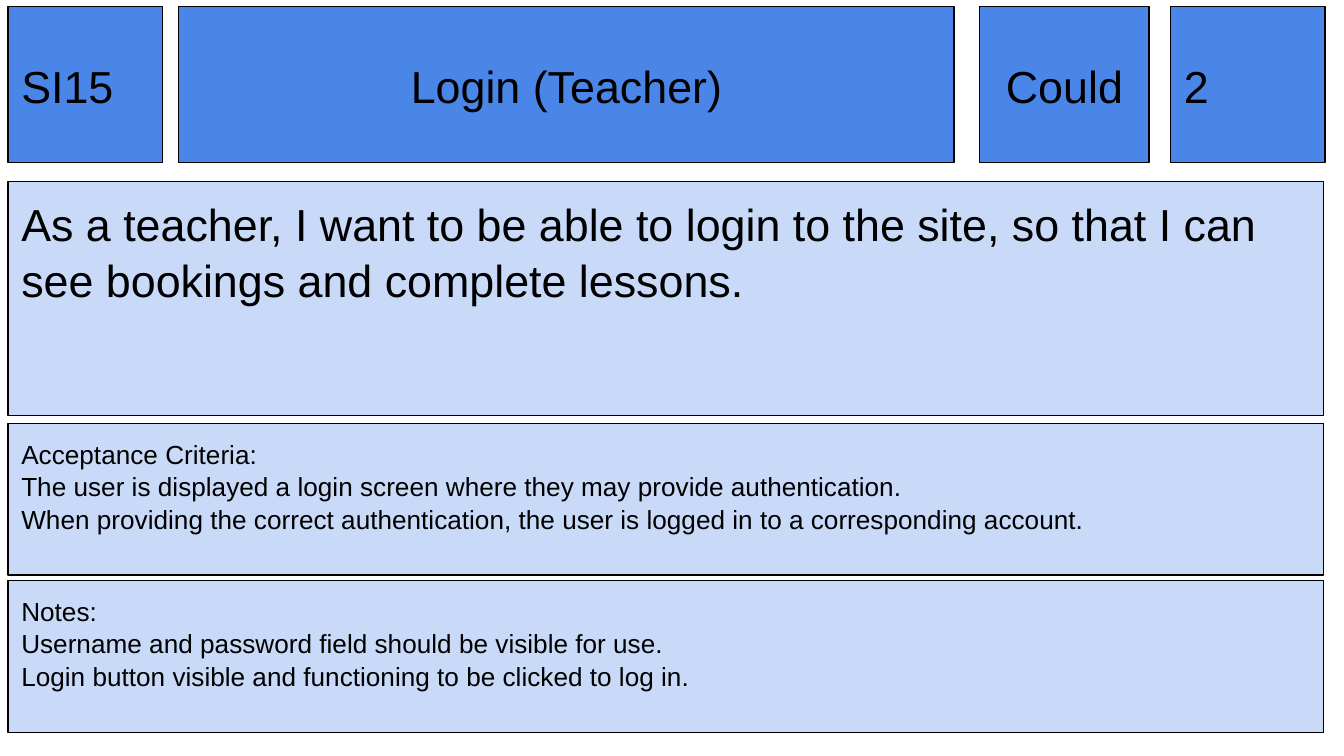
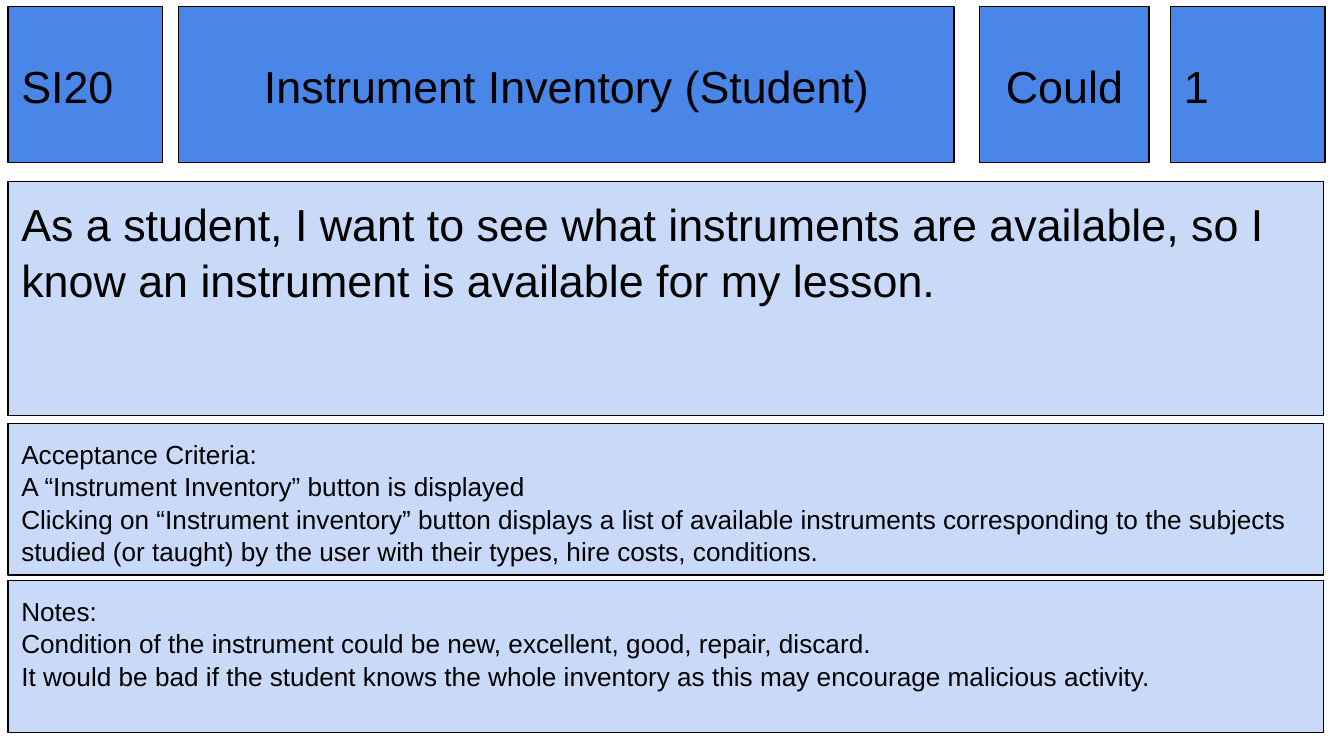
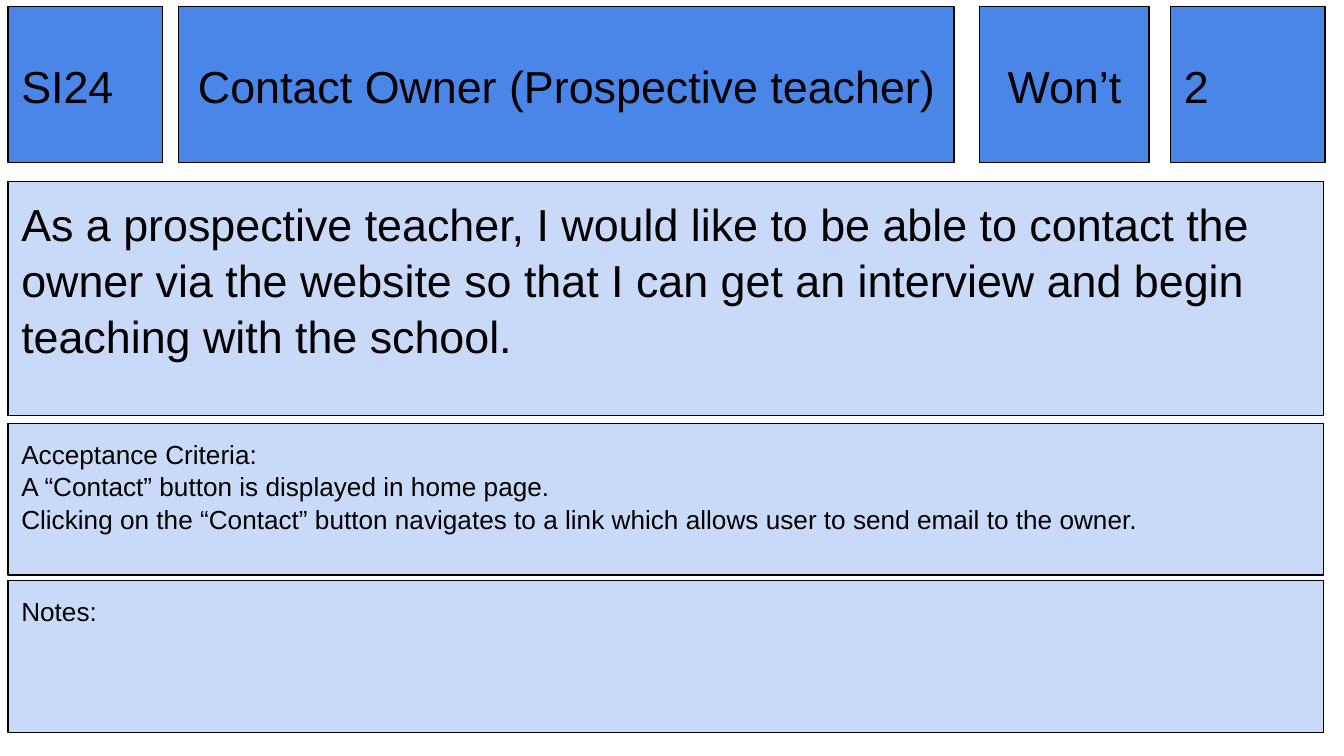
from pptx import Presentation
from pptx.dml.color import RGBColor as RGB
from pptx.enum.shapes import MSO_SHAPE as Shape
from pptx.enum.text import MSO_ANCHOR as Anchor, PP_ALIGN as Align
from pptx.util import Inches, Pt

# Content: one user story per slide
STORIES = [
    {
        "header": ("SI15", "Login (Teacher)", "Could", "2"),
        "story": "As a teacher, I want to be able to login to the site, "
                 "so that I can see bookings and complete lessons.",
        "criteria": [
            "The user is displayed a login screen where they may provide authentication.",
            "When providing the correct authentication, the user is logged in "
            "to a corresponding account.",
        ],
        "notes": [
            "Username and password field should be visible for use.",
            "Login button visible and functioning to be clicked to log in.",
        ],
    },
    {
        "header": ("SI20", "Instrument Inventory (Student)", "Could", "1"),
        "story": "As a student, I want to see what instruments are available, "
                 "so I know an instrument is available for my lesson.",
        "criteria": [
            "A “Instrument Inventory” button is displayed",
            "Clicking on “Instrument inventory” button displays a list of available "
            "instruments corresponding to the subjects studied (or taught) by the user "
            "with their types, hire costs, conditions.",
        ],
        "notes": [
            "Condition of the instrument could be new, excellent, good, repair, discard.",
            "It would be bad if the student knows the whole inventory "
            "as this may encourage malicious activity.",
        ],
    },
    {
        "header": ("SI24", "Contact Owner (Prospective teacher)", "Won’t", "2"),
        "story": "As a prospective teacher, I would like to be able to contact the owner "
                 "via the website so that I can get an interview and begin teaching "
                 "with the school.",
        "criteria": [
            "A “Contact” button is displayed in home page.",
            "Clicking on the “Contact” button navigates to a link which allows user "
            "to send email to the owner.",
        ],
        "notes": [],
    },
]

# Shared style
COLORS = {"header": "4A86E8", "panel": "C9DAF8", "ink": "000000"}
FONT = "Arial"
LARGE, SMALL = 24, 14
LINE_SPACING = 1.04
INSET = Inches(0.1)

# Card grid, in inches
SLIDE_W, SLIDE_H = 10, 5.625
LEFT, CARD_W = 0.06, 9.79
HEADER_TOP, HEADER_H = 0.05, 1.16
HEADER_COLUMNS = [  # left, width, alignment
    (LEFT, 1.15, Align.LEFT),
    (1.33, 5.77, Align.CENTER),
    (7.29, 1.26, Align.CENTER),
    (8.71, 1.15, Align.LEFT),
]
PANEL_ROWS = [  # top, height, text size
    (1.35, 1.74, LARGE),
    (3.15, 1.13, SMALL),
    (4.32, 1.13, SMALL),
]


def add_box(slide, area, fill, lines, size, align=Align.LEFT, anchor=Anchor.TOP):
    box = slide.shapes.add_shape(Shape.RECTANGLE, *map(Inches, area))
    box.shadow.inherit = False
    box.fill.solid()
    box.fill.fore_color.rgb = RGB.from_string(COLORS[fill])
    box.line.color.rgb = RGB.from_string(COLORS["ink"])
    box.line.width = Pt(0.75)

    frame = box.text_frame
    frame.word_wrap = True
    frame.vertical_anchor = anchor
    frame.margin_left = frame.margin_right = INSET
    frame.margin_top = frame.margin_bottom = INSET
    frame.text = "\n".join(lines)
    for line in frame.paragraphs:
        line.alignment = align
        line.line_spacing = LINE_SPACING
        for run in line.runs:
            run.font.name = FONT
            run.font.size = Pt(size)
            run.font.color.rgb = RGB.from_string(COLORS["ink"])


def add_story_card(slide, card):
    # Header: id, title, priority, estimate
    for label, (left, width, align) in zip(card["header"], HEADER_COLUMNS):
        add_box(slide, (left, HEADER_TOP, width, HEADER_H), "header",
                [label], LARGE, align, Anchor.MIDDLE)

    # Panels: story, acceptance criteria, notes
    panels = [
        [card["story"]],
        ["Acceptance Criteria:", *card["criteria"]],
        ["Notes:", *card["notes"]],
    ]
    for lines, (top, height, size) in zip(panels, PANEL_ROWS):
        add_box(slide, (LEFT, top, CARD_W, height), "panel", lines, size)


def main():
    deck = Presentation()
    deck.slide_width, deck.slide_height = Inches(SLIDE_W), Inches(SLIDE_H)
    blank = deck.slide_layouts[6]
    for card in STORIES:
        add_story_card(deck.slides.add_slide(blank), card)
    deck.save("out.pptx")


if __name__ == "__main__":
    main()
